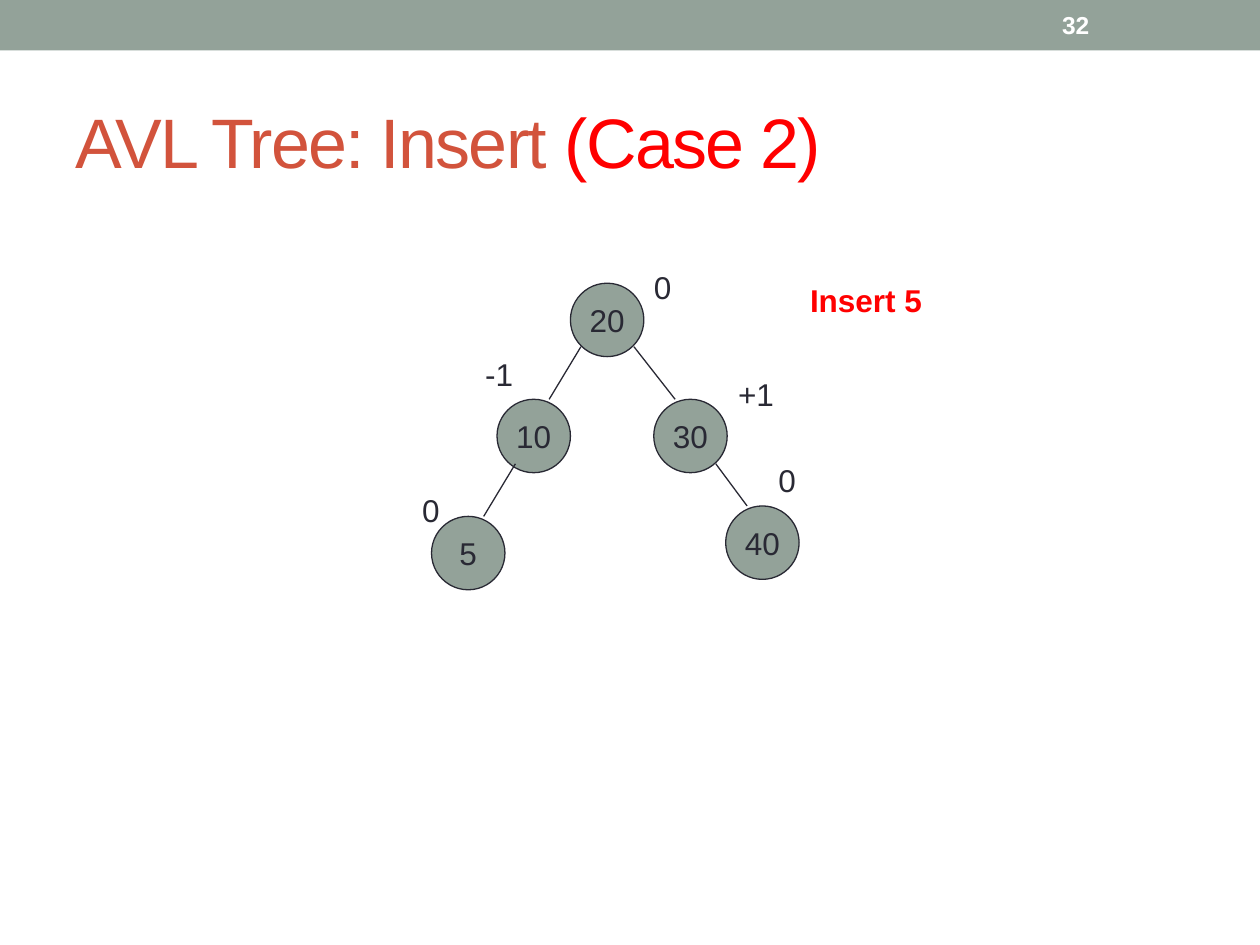
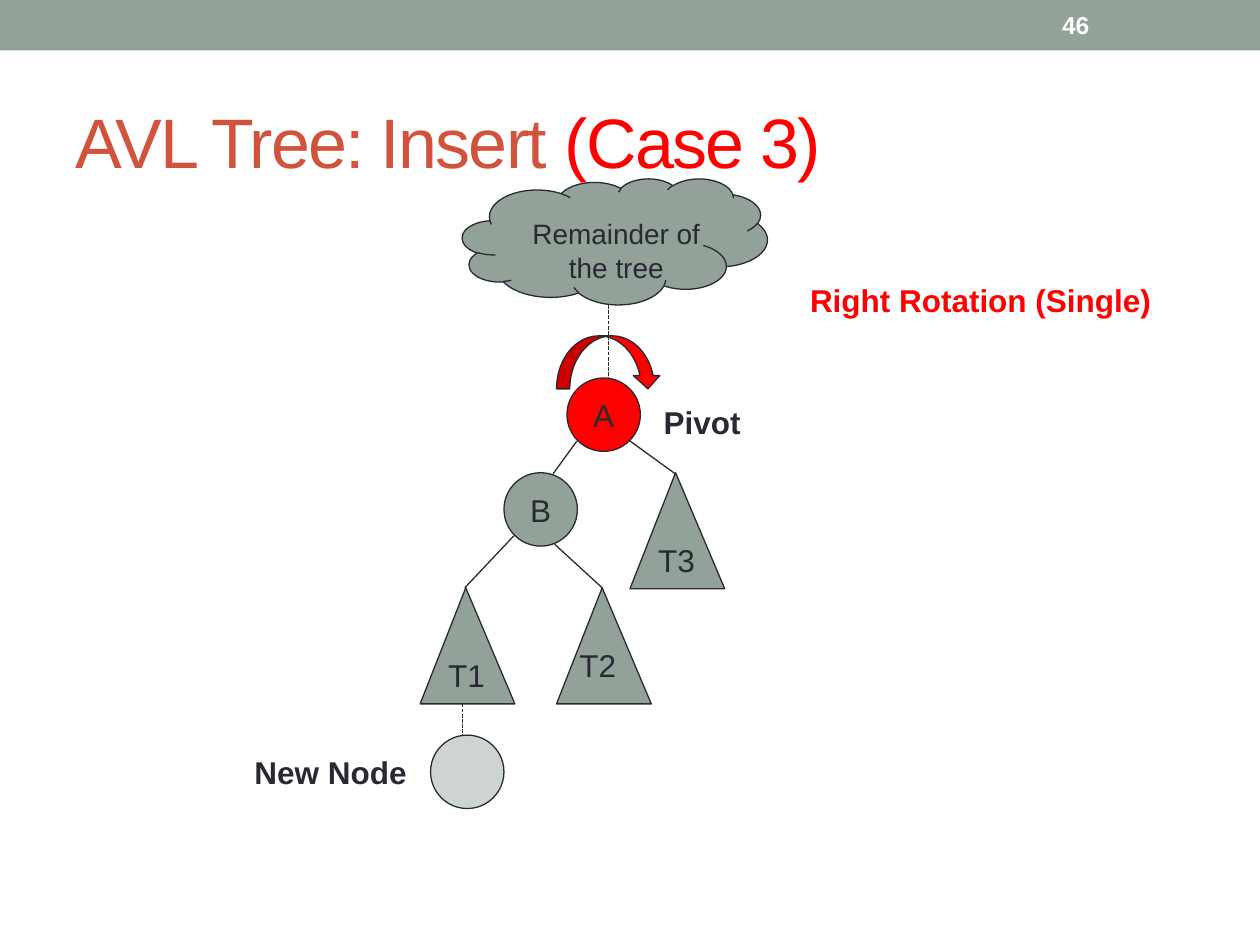
from dataclasses import dataclass
from typing import Any, NamedTuple

from lxml import etree
from pptx import Presentation
from pptx import util as u
from pptx.dml.color import RGBColor
from pptx.enum import dml, shapes, text
from pptx.oxml import ns

SHAPE = shapes.MSO_SHAPE
MIDDLE = text.MSO_ANCHOR.MIDDLE
CENTER = text.PP_ALIGN.CENTER
LEFT = text.PP_ALIGN.LEFT


@dataclass(frozen=True)
class Theme:
    font: str = "Arial"
    sage: str = "93A299"
    ink: str = "292934"
    rust: str = "D2533C"
    red: str = "FF0000"
    white: str = "FFFFFF"
    title_size: int = 40
    body_size: int = 18
    cloud_size: int = 16
    number_size: int = 14
    line_width: float = 0.75


THEME = Theme()
NODE_SIZE = 1.48
SUBTREE_SIZE = (1.91, 2.34)
SUBTREE_APEX = 0.482
CALLOUT_AT = (16.08, 5.54)


class Figure(NamedTuple):
    """A filled outline; lengths in centimetres."""
    kind: Any
    left: float
    top: float
    width: float
    height: float
    words: str = ""
    fill: str = THEME.sage
    opacity: int = 100
    outlined: bool = True


class Edge(NamedTuple):
    x1: float
    y1: float
    x2: float
    y2: float
    dashed: bool = False


class Label(NamedTuple):
    words: str
    left: float
    top: float
    width: float
    height: float = 1.09
    color: str = THEME.ink
    size: int = THEME.body_size
    bold: bool = False
    wrap: bool = False
    align: Any = LEFT
    anchor: Any = text.MSO_ANCHOR.TOP
    grows: bool = True


def node(words: str, left: float, top: float, **look: Any) -> Figure:
    return Figure(SHAPE.OVAL, left, top, NODE_SIZE, NODE_SIZE, words, **look)


def subtree(words: str, left: float, top: float) -> Figure:
    return Figure(SHAPE.ISOSCELES_TRIANGLE, left, top, *SUBTREE_SIZE, words)


def callout(words: str, width: float) -> Label:
    return Label(words, *CALLOUT_AT, width, 1.02, color=THEME.red, bold=True)


def set_values(target: Any, values: dict[str, Any]) -> None:
    for name, value in values.items():
        setattr(target, name, value)


def style_font(font: Any, color: str, size: int, bold: bool = False) -> None:
    set_values(font, {"name": THEME.font, "size": u.Pt(size), "bold": bold})
    font.color.rgb = RGBColor.from_string(color)


def style_line(line: Any) -> None:
    line.width = u.Pt(THEME.line_width)
    line.fill.solid()
    line.fill.fore_color.rgb = RGBColor.from_string(THEME.ink)


def write(frame: Any, words: str, align: Any, color: str, size: int,
          bold: bool = False) -> None:
    """Fill a text frame, one paragraph for each line of words."""
    frame.text = words
    for paragraph in frame.paragraphs:
        paragraph.alignment = align
        for run in paragraph.runs:
            style_font(run.font, color, size, bold)


def draw_figure(slide: Any, figure: Figure) -> None:
    outline = slide.shapes.add_shape(
        figure.kind, *map(u.Cm, (figure.left, figure.top, figure.width, figure.height)))
    outline.shadow.inherit = False
    outline.fill.solid()
    outline.fill.fore_color.rgb = RGBColor.from_string(figure.fill)
    if figure.opacity < 100:
        tint = outline._element.spPr.find(f"{ns.qn('a:solidFill')}/{ns.qn('a:srgbClr')}")
        etree.SubElement(tint, ns.qn("a:alpha"), val=str(figure.opacity * 1000))
    if figure.outlined:
        style_line(outline.line)
    else:
        outline.line.fill.background()
    if figure.kind == SHAPE.ISOSCELES_TRIANGLE:
        outline.adjustments[0] = SUBTREE_APEX
    if figure.words:
        set_values(outline.text_frame, {"word_wrap": False, "vertical_anchor": MIDDLE})
        write(outline.text_frame, figure.words, CENTER, THEME.ink, THEME.body_size)


def draw_edge(slide: Any, edge: Edge) -> None:
    connector = slide.shapes.add_connector(
        shapes.MSO_CONNECTOR.STRAIGHT, *map(u.Cm, (edge.x1, edge.y1, edge.x2, edge.y2)))
    style_line(connector.line)
    if edge.dashed:
        connector.line.dash_style = dml.MSO_LINE.SQUARE_DOT
    etree.SubElement(connector._element.spPr, ns.qn("a:effectLst"))


def draw_label(slide: Any, label: Label) -> None:
    box = slide.shapes.add_textbox(
        *map(u.Cm, (label.left, label.top, label.width, label.height)))
    fit = text.MSO_AUTO_SIZE
    set_values(box.text_frame, {
        "word_wrap": label.wrap,
        "vertical_anchor": label.anchor,
        "auto_size": fit.SHAPE_TO_FIT_TEXT if label.grows else fit.NONE,
    })
    write(box.text_frame, label.words, label.align, label.color, label.size, label.bold)


DRAW = {Figure: draw_figure, Edge: draw_edge, Label: draw_label}


def draw_all(slide: Any, parts: list[Any]) -> None:
    for part in parts:
        DRAW[type(part)](slide, part)


BAND = Figure(SHAPE.RECTANGLE, 0, 0, 25.4, 1.02, outlined=False)


def place_title(slide: Any, case: str) -> None:
    """Format the title and bring it in front of the backdrop."""
    title = slide.shapes.title
    set_values(title, {"left": u.Cm(1.27), "top": u.Cm(1.47),
                       "width": u.Cm(22.86), "height": u.Cm(2.74)})
    frame = title.text_frame
    set_values(frame, {"vertical_anchor": MIDDLE, "word_wrap": True,
                       "auto_size": text.MSO_AUTO_SIZE.NONE})
    heading = frame.paragraphs[0]
    heading.alignment = LEFT
    for words, color in (("AVL Tree: Insert ", THEME.rust), (case, THEME.red)):
        run = heading.add_run()
        run.text = words
        style_font(run.font, color, THEME.title_size)
        run.font._element.set("spc", "-100")
    slide.shapes._spTree.append(title._element)


def add_case(prs: Any, case: str, number: str, backdrop: list[Any],
             parts: list[Any]) -> None:
    slide = prs.slides.add_slide(prs.slide_layouts[5])
    draw_all(slide, [BAND, *backdrop])
    place_title(slide, case)
    page = Label(number, 21.16, 0.05, 2.97, 0.91, THEME.white, THEME.number_size,
                 bold=True, wrap=True, anchor=MIDDLE, grows=False)
    draw_all(slide, [page, *parts])


INSERT_FIVE = [
    callout("Insert 5", 2.9),
    node("20", 11.5, 5.71),
    node("10", 10.02, 8.05),
    Edge(11.71, 6.99, 11.07, 8.05),
    Edge(12.78, 6.99, 13.61, 8.05),
    Label("+1", 14.63, 7.44, 1.27),
    Label("-1", 9.53, 7.04, 1.3, 1.02),
    node("40", 14.63, 10.2),
    Edge(14.43, 9.35, 15.06, 10.2),
    Label("0", 15.44, 9.17, 0.86),
    node("30", 13.18, 8.05),
    node("5", 8.7, 10.41),
    Edge(10.39, 9.35, 9.75, 10.41),
    Label("0", 12.93, 5.28, 0.91, 1.02),
    Label("0", 8.26, 9.78, 0.91, 1.02),
]

REMAINDER_CLOUD = [Figure(SHAPE.CLOUD, 9.32, 3.6, 6.15, 2.54)]

RIGHT_ROTATION = [
    Label("Remainder of\nthe tree", 10.24, 4.24, 4.37, 1.63,
          size=THEME.cloud_size, wrap=True, align=CENTER),
    node("B", 10.16, 9.53),
    node("A", 11.43, 7.62, fill=THEME.red),
    subtree("T3", 12.7, 9.53),
    subtree("", 11.22, 11.85),
    subtree("T1", 8.47, 11.85),
    node("", 8.68, 14.82, opacity=45),
    Edge(9.32, 14.18, 9.32, 14.82, dashed=True),
    Label("New Node", 4.88, 15.06, 3.58, bold=True),
    Label("T2", 11.43, 12.9, 1.3),
    Edge(12.27, 6.15, 12.27, 7.62, dashed=True),
    Edge(11.63, 8.89, 11.15, 9.55),
    Edge(12.7, 8.89, 13.61, 9.55),
    Edge(10.36, 10.8, 9.37, 11.85),
    Edge(11.18, 10.97, 12.14, 11.85),
    Label("Pivot", 13.13, 8, 2.08, bold=True),
    Figure(SHAPE.CURVED_DOWN_ARROW, 11.22, 6.77, 2.11, 1.07, fill=THEME.red),
    callout("Right Rotation (Single)", 7.47),
]


def main() -> None:
    prs = Presentation()
    set_values(prs, {"slide_width": u.Cm(25.4), "slide_height": u.Cm(19.05)})
    add_case(prs, "(Case 2)", "32", [], INSERT_FIVE)
    add_case(prs, "(Case 3)", "46", REMAINDER_CLOUD, RIGHT_ROTATION)
    prs.save("out.pptx")


if __name__ == "__main__":
    main()
